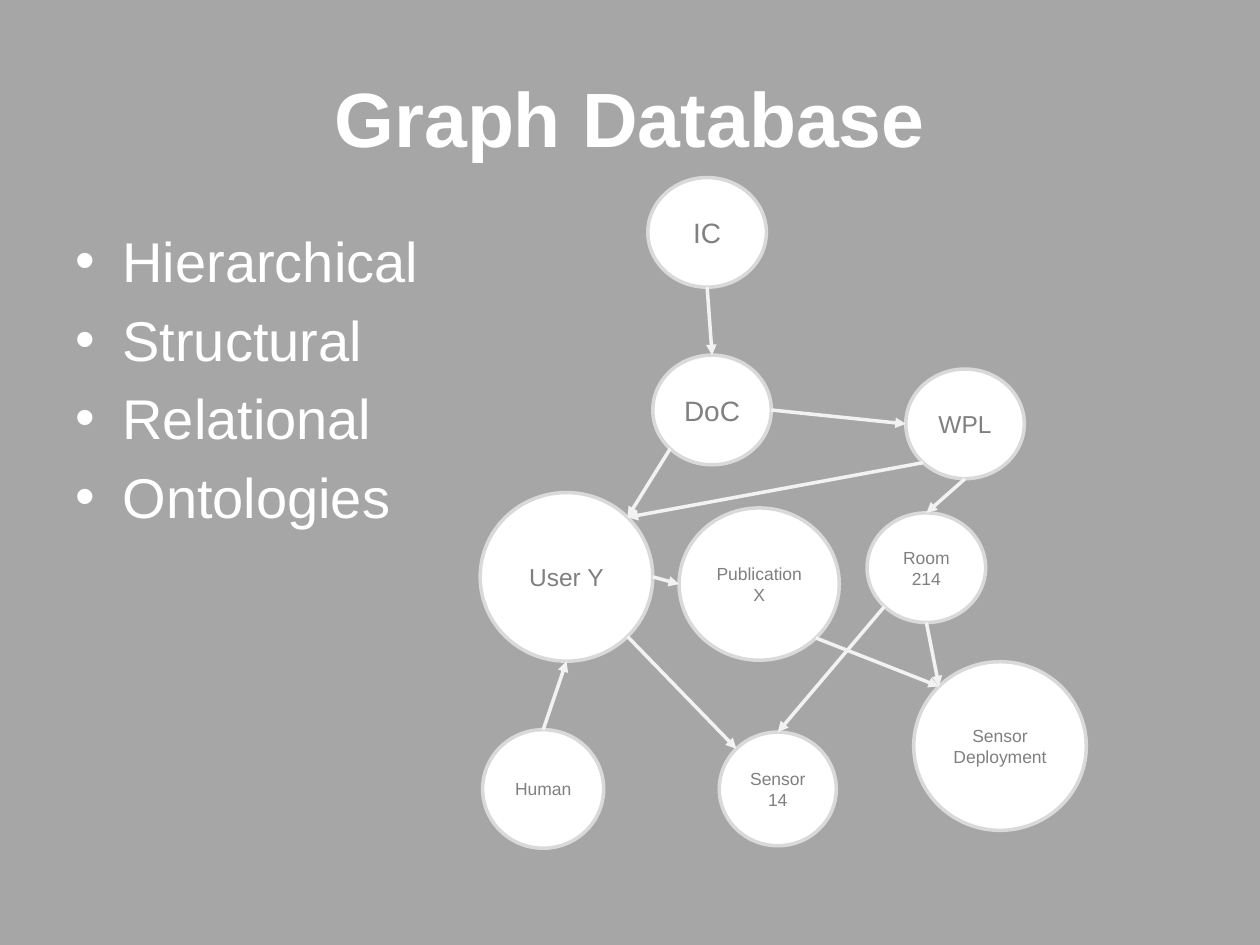
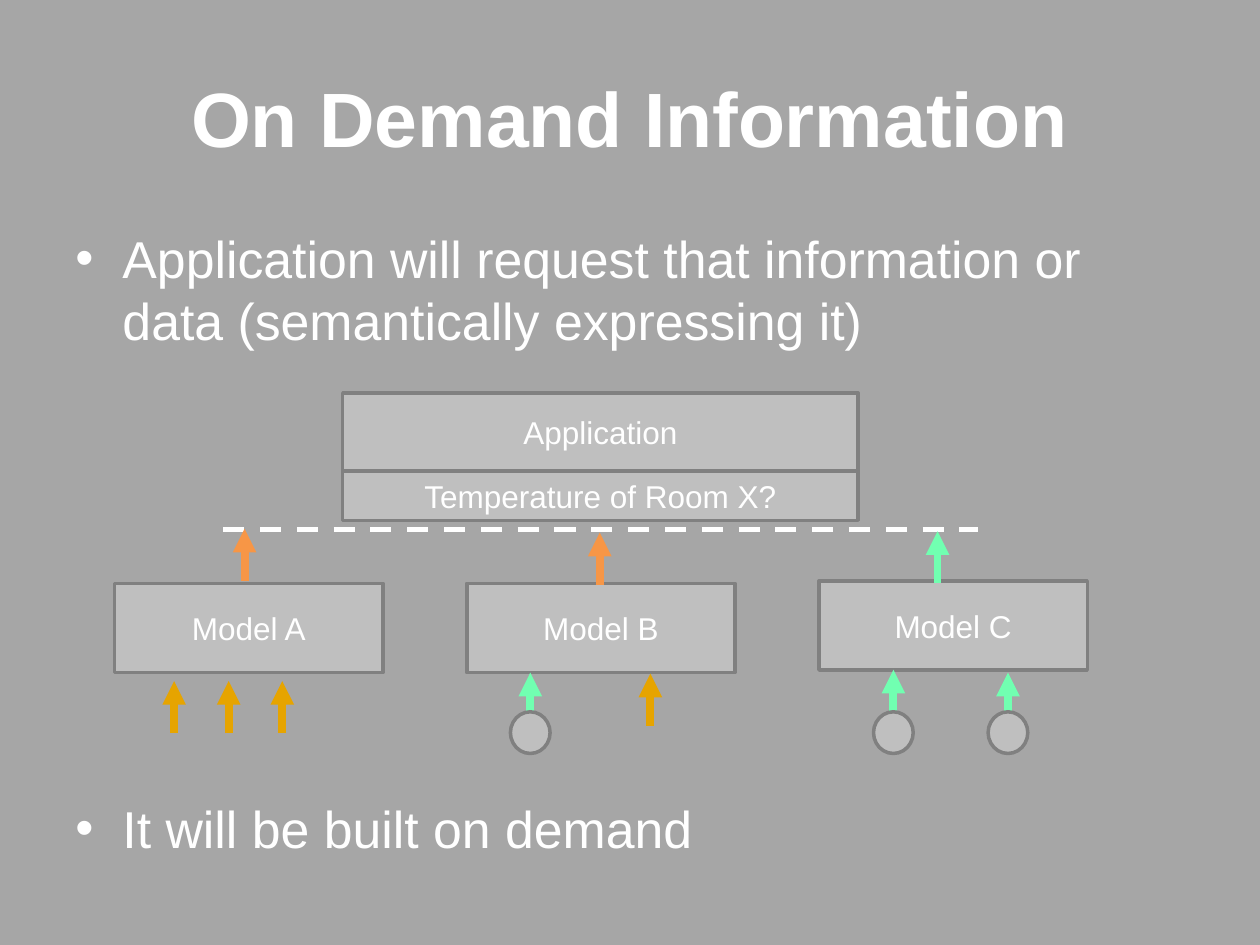
from lxml import etree
from pptx import Presentation
from pptx.dml.color import RGBColor
from pptx.enum.dml import MSO_LINE
from pptx.enum.shapes import MSO_CONNECTOR, MSO_SHAPE
from pptx.enum.text import MSO_ANCHOR, PP_ALIGN
from pptx.oxml.ns import qn
from pptx.util import Cm, Pt

STRAIGHT = MSO_CONNECTOR.STRAIGHT
ELLIPSE = MSO_SHAPE.OVAL
RECTANGLE = MSO_SHAPE.RECTANGLE
DASH = MSO_LINE.DASH
MIDDLE = MSO_ANCHOR.MIDDLE
TOP = MSO_ANCHOR.TOP
CENTER = PP_ALIGN.CENTER
LEFT = PP_ALIGN.LEFT

FONT = "Arial"
BACKGROUND = "A6A6A6"
WHITE = "FFFFFF"
GRAY = "808080"
SILVER = "BFBFBF"
NODE_BORDER = "D9D9D9"
EDGE = "F2F2F2"
GOLD = "E6A400"
ORANGE = "F79646"
GREEN = "71FFB1"

DIAGONAL = 0.5 ** 0.5
SIDES = {
    "top": (0, -1), "bottom": (0, 1), "left": (-1, 0), "right": (1, 0),
    "top left": (-DIAGONAL, -DIAGONAL), "top right": (DIAGONAL, -DIAGONAL),
    "bottom left": (-DIAGONAL, DIAGONAL), "bottom right": (DIAGONAL, DIAGONAL),
}

SMALL = (2.39, 2.21)
LARGE = (3.48, 3.4)
NODES = {
    "IC": (13.06, 3.58, *SMALL, 16, ["IC"]),
    "WPL": (18.26, 7.44, *SMALL, 14, ["WPL"]),
    "Room": (17.48, 10.34, *SMALL, 10, ["Room", "214"]),
    "DoC": (13.16, 7.16, *SMALL, 16, ["DoC"]),
    "Deployment": (18.42, 13.34, *LARGE, 10, ["Sensor Deployment"]),
    "Sensor": (14.5, 14.76, 2.36, 2.29, 10, ["Sensor", "14"]),
    "User": (9.68, 9.93, *LARGE, 14, ["User Y"]),
    "Human": (9.73, 14.71, 2.44, 2.39, 10, ["Human"]),
    "Publication": (13.69, 10.24, 3.23, 3.07, 10, ["Publication X"]),
}
EDGES = [
    ("IC", "bottom", "DoC", "top"),
    ("DoC", "right", "WPL", "left"),
    ("DoC", "bottom left", "User", "top right"),
    ("WPL", "bottom left", "User", "top right"),
    ("WPL", "bottom", "Room", "top"),
    ("Room", "bottom", "Deployment", "top left"),
    ("Room", "bottom left", "Sensor", "top"),
    ("User", "bottom right", "Sensor", "top left"),
    ("User", "right", "Publication", "left"),
    ("Publication", "bottom right", "Deployment", "top left"),
    ("Human", "top", "User", "bottom"),
]

MODELS = [("Model A", 11.76), ("Model B", 11.76), ("Model C", 11.71)]
ARROW_LENGTH = 1.05
SENSOR_ARROWS = [(10.69, 14.61), (18.01, 14.55), (20.32, 14.61)]
FLOW_ARROWS = [
    (3.51, 14.78, GOLD), (4.61, 14.78, GOLD), (5.69, 14.78, GOLD),
    (13.11, 14.63, GOLD), (4.93, 11.71, ORANGE), (12.09, 11.79, ORANGE),
    (18.9, 11.76, GREEN),
]


def color(hex_string):
    return RGBColor.from_string(hex_string)


def node_point(name, side):
    left, top, width, height = NODES[name][:4]
    across, down = SIDES[side]
    return left + width * (1 + across) / 2, top + height * (1 + down) / 2


class Deck:
    def __init__(self):
        self.presentation = Presentation()
        self.presentation.slide_width = Cm(25.4)
        self.presentation.slide_height = Cm(19.05)
        self.slide = None

    def add_slide(self, title):
        layout = self.presentation.slide_layouts[6]
        self.slide = self.presentation.slides.add_slide(layout)
        fill = self.slide.background.fill
        fill.solid()
        fill.fore_color.rgb = color(BACKGROUND)
        box = self.slide.shapes.add_textbox(Cm(1.27), Cm(0.76), Cm(22.86), Cm(3.18))
        self.add_text(box, [title], 44, WHITE, bold=True)

    def add_text(self, shape, lines, size, text_color, bold=False, align=CENTER, anchor=MIDDLE):
        frame = shape.text_frame
        frame.word_wrap = True
        frame.vertical_anchor = anchor
        for index, line in enumerate(lines):
            paragraph = frame.add_paragraph() if index else frame.paragraphs[0]
            paragraph.alignment = align
            run = paragraph.add_run()
            run.text = line
            run.font.name = FONT
            run.font.size = Pt(size)
            run.font.bold = bold
            run.font.color.rgb = color(text_color)

    def bullets(self, lines, top, height, size):
        box = self.slide.shapes.add_textbox(Cm(1.27), Cm(top), Cm(22.86), Cm(height))
        self.add_text(box, lines, size, WHITE, align=LEFT, anchor=TOP)
        for properties in box.element.iter(qn("a:pPr")):
            properties.set("marL", str(Cm(0.95)))
            properties.set("indent", str(-Cm(0.95)))
            space = etree.SubElement(properties, qn("a:spcBef"))
            etree.SubElement(space, qn("a:spcPct")).set("val", "20000")
            etree.SubElement(properties, qn("a:buFont")).set("typeface", FONT)
            etree.SubElement(properties, qn("a:buChar")).set("char", "•")

    def shape(self, kind, left, top, width, height, fill, border):
        shape = self.slide.shapes.add_shape(kind, Cm(left), Cm(top), Cm(width), Cm(height))
        shape.shadow.inherit = False
        shape.fill.solid()
        shape.fill.fore_color.rgb = color(fill)
        shape.line.color.rgb = color(border)
        shape.line.width = Pt(2)
        return shape

    def node(self, left, top, width, height, size, lines):
        shape = self.shape(ELLIPSE, left, top, width, height, WHITE, NODE_BORDER)
        self.add_text(shape, lines, size, GRAY)

    def box(self, label, left, top, width, height):
        shape = self.shape(RECTANGLE, left, top, width, height, SILVER, GRAY)
        self.add_text(shape, [label], 18, WHITE)

    def line(self, start, end, line_color, width, dash=None, arrow=True):
        points = [Cm(value) for value in (*start, *end)]
        connector = self.slide.shapes.add_connector(STRAIGHT, *points)
        connector.line.color.rgb = color(line_color)
        connector.line.width = Pt(width)
        if dash:
            connector.line.dash_style = dash
        properties = connector.element.spPr
        if arrow:
            outline = properties.find(qn("a:ln"))
            etree.SubElement(outline, qn("a:tailEnd")).set("type", "triangle")
        etree.SubElement(properties, qn("a:effectLst"))

    def up_arrow(self, x, bottom, line_color):
        self.line((x, bottom), (x, bottom - ARROW_LENGTH), line_color, 4.5)


def build_graph_slide(deck):
    deck.add_slide("Graph Database")
    deck.bullets(["Hierarchical", "Structural", "Relational", "Ontologies"], 4.45, 12.57, 32)
    for node in NODES.values():
        deck.node(*node)
    for source, source_side, target, target_side in EDGES:
        deck.line(node_point(source, source_side), node_point(target, target_side), EDGE, 2)


def build_demand_slide(deck):
    deck.add_slide("On Demand Information")
    request = "Application will request that information or data (semantically expressing it)"
    deck.bullets([request], 4.45, 3, 29.6)
    deck.bullets(["It will be built on demand"], 15.93, 1.6, 29.6)
    deck.box("Application", 6.91, 7.92, 10.39, 1.58)
    deck.box("Temperature of Room X?", 6.91, 9.5, 10.39, 0.99)
    for index, (label, top) in enumerate(MODELS):
        deck.box(label, 2.31 + 7.1 * index, top, 5.41, 1.8)
    deck.line((4.5, 10.67), (19.71, 10.67), WHITE, 3, dash=DASH, arrow=False)
    for arrow in FLOW_ARROWS:
        deck.up_arrow(*arrow)
    for x, bottom in SENSOR_ARROWS:
        deck.up_arrow(x, bottom, GREEN)
        deck.shape(ELLIPSE, x - 0.4, 14.35, 0.8, 0.84, SILVER, GRAY)


def main():
    deck = Deck()
    build_graph_slide(deck)
    build_demand_slide(deck)
    deck.presentation.save("out.pptx")


if __name__ == "__main__":
    main()
